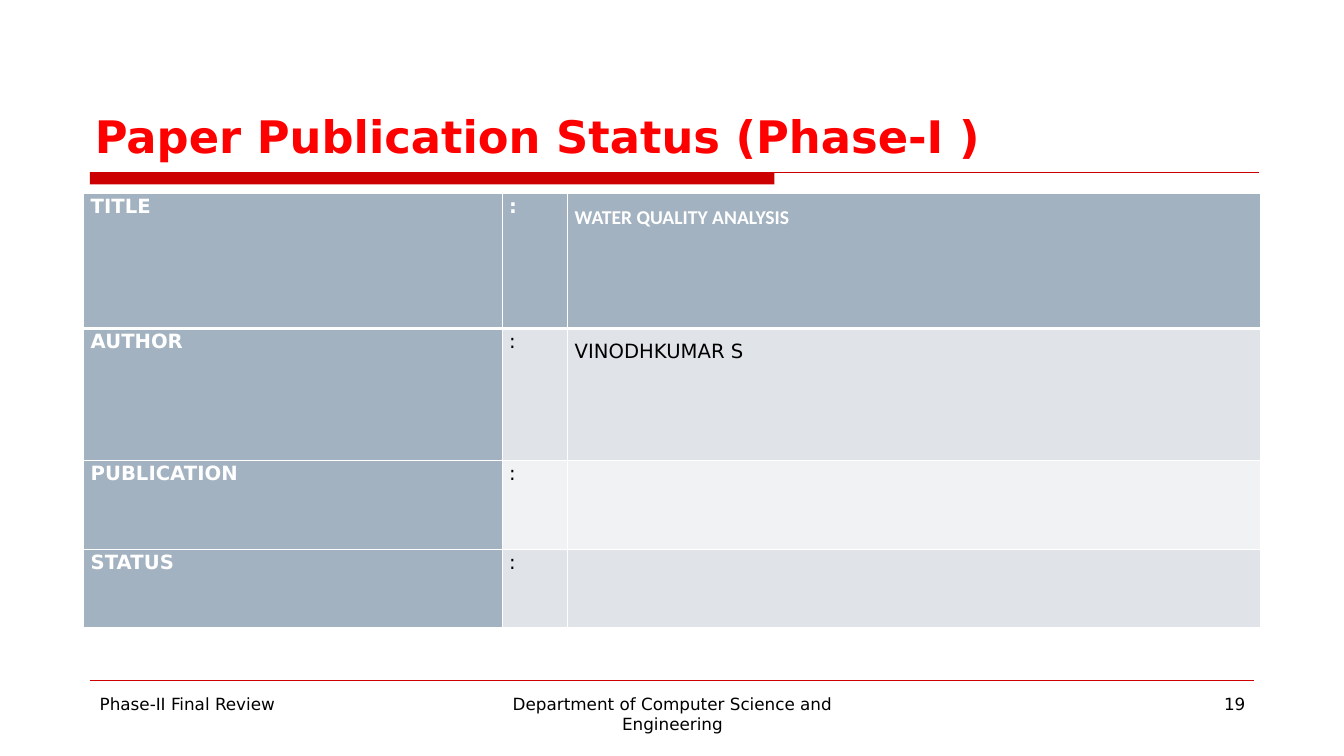
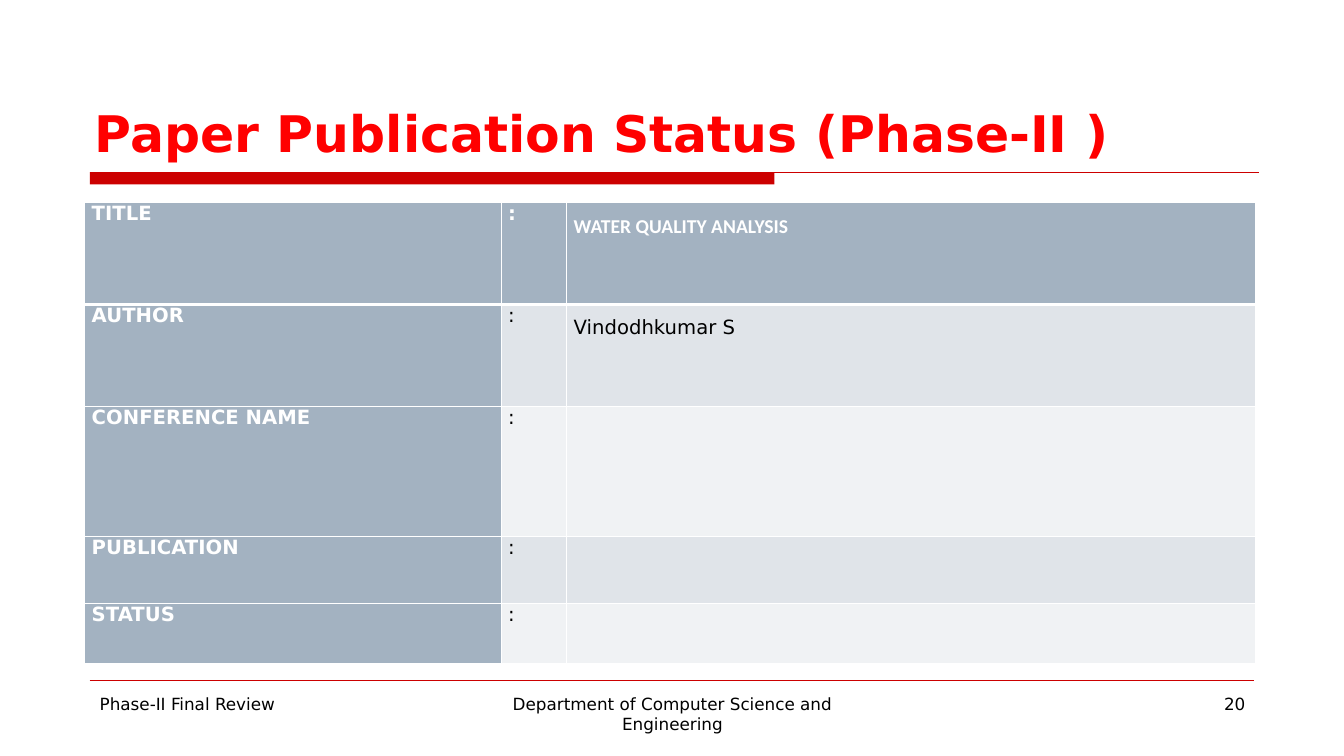
from dataclasses import dataclass
from pptx import Presentation
from pptx.dml.color import RGBColor
from pptx.enum.shapes import MSO_CONNECTOR, MSO_SHAPE
from pptx.enum.text import MSO_ANCHOR, MSO_AUTO_SIZE, PP_ALIGN
from pptx.oxml.ns import qn
from pptx.util import Inches, Pt
from lxml.etree import SubElement, Element


@dataclass(frozen=True)
class Theme:
    red: str = "FF0000"
    rule: str = "CC0000"
    head: str = "A3B2C1"
    bands: tuple = ("F0F2F4", "E0E4E9")
    white: str = "FFFFFF"
    black: str = "000000"
    font: str = "DejaVu Sans"
    alt: str = "Calibri"
    cell: int = 14
    foot: int = 12


THEME = Theme()
SIZE = (13.33, 7.5)

FOOTS = [
    (0.89, 2.89, "Phase-II Final Review", PP_ALIGN.LEFT),
    (4.56, 4.22, "Department of Computer Science and Engineering", PP_ALIGN.CENTER),
]
PAGE = (9.56, 2.89)

SLIDES = [
    dict(
        page=19, title="Paper Publication Status (Phase-I )", size=32, wide=11.85,
        left=0.83, top=1.92, cols=(4.15, 0.65, 6.87), lead=1.07, after=8,
        align=PP_ALIGN.JUSTIFY,
        rows=[
            (1.34, "TITLE", "WATER QUALITY ANALYSIS"),
            (1.31, "AUTHOR", "VINODHKUMAR S"),
            (0.88, "PUBLICATION", ""),
            (0.78, "STATUS", ""),
        ],
    ),
    dict(
        page=20, title="Paper Publication Status (Phase-II )", size=36, wide=11.67,
        left=0.84, top=2.01, cols=(4.13, 0.65, 6.83), lead=1.0, after=0,
        align=PP_ALIGN.LEFT,
        rows=[
            (1.01, "TITLE", "WATER QUALITY ANALYSIS"),
            (1.01, "AUTHOR", "Vindodhkumar S"),
            (1.29, "CONFERENCE NAME", ""),
            (0.67, "PUBLICATION", ""),
            (0.59, "STATUS", ""),
        ],
    ),
]


def color(code):
    return RGBColor.from_string(code)


def write(frame, text, size, tint=THEME.black, bold=False, font=THEME.font,
          align=PP_ALIGN.LEFT, lead=None, after=0):
    frame.word_wrap = True
    para = frame.paragraphs[0]
    para.alignment = align
    para.space_after = Pt(after)
    if lead:
        para.line_spacing = lead
    run = para.add_run()
    run.text = text
    run.font.size = Pt(size)
    run.font.name = font
    run.font.bold = bold
    run.font.color.rgb = color(tint)


def rule(slide, left, right, y, width):
    line = slide.shapes.add_connector(
        MSO_CONNECTOR.STRAIGHT, Inches(left), Inches(y), Inches(right), Inches(y))
    line.line.color.rgb = color(THEME.rule)
    line.line.width = Pt(width)
    SubElement(line._element.spPr, qn("a:effectLst"))


def frame(slide, page):
    bar = slide.shapes.add_shape(
        MSO_SHAPE.RECTANGLE, Inches(0.89), Inches(1.71), Inches(6.79), Inches(0.12))
    bar.shadow.inherit = False
    bar.fill.solid()
    bar.fill.fore_color.rgb = color(THEME.rule)
    bar.line.fill.background()
    rule(slide, 0.89, 12.49, 1.71, 0.75)
    rule(slide, 0.89, 12.44, 6.75, 0.25)
    for left, wide, text, align in FOOTS + [(*PAGE, str(page), PP_ALIGN.RIGHT)]:
        box = slide.shapes.add_textbox(
            Inches(left), Inches(6.83), Inches(wide), Inches(0.52))
        write(box.text_frame, text, THEME.foot, align=align)


def border(cell, row):
    props = cell._tc.get_or_add_tcPr()
    widths = dict(lnL=1, lnR=1, lnT=3 if row == 1 else 1, lnB=3 if row == 0 else 1)
    for i, (side, width) in enumerate(widths.items()):
        line = Element(qn(f"a:{side}"), w=str(Pt(width)))
        fill = SubElement(line, qn("a:solidFill"))
        SubElement(fill, qn("a:srgbClr"), val=THEME.white)
        props.insert(i, line)


def grid(slide, data):
    rows, cols = data["rows"], data["cols"]
    tall = sum(row[0] for row in rows)
    table = slide.shapes.add_table(
        len(rows), len(cols), Inches(data["left"]), Inches(data["top"]),
        Inches(sum(cols)), Inches(tall)).table
    for col, wide in zip(table.columns, cols):
        col.width = Inches(wide)
    for r, (high, label, value) in enumerate(rows):
        table.rows[r].height = Inches(high)
        for c, text in enumerate((label, ":", value)):
            cell = table.cell(r, c)
            head = r == 0 or c == 0
            cell.margin_left = cell.margin_right = Inches(0.07)
            cell.margin_top = cell.margin_bottom = 0
            cell.fill.solid()
            cell.fill.fore_color.rgb = color(THEME.head if head else THEME.bands[r % 2])
            border(cell, r)
            if text:
                top = r == 0 and c == 2
                write(cell.text_frame, text, THEME.cell, bold=head,
                      tint=THEME.white if head else THEME.black,
                      font=THEME.alt if top else THEME.font,
                      align=data["align"] if top else PP_ALIGN.LEFT,
                      lead=1.5 if c == 2 else data["lead"], after=data["after"])


def build(deck, data):
    slide = deck.slides.add_slide(deck.slide_layouts[5])
    title = slide.shapes.title
    title.left, title.top = Inches(0.84), Inches(0.33)
    title.width, title.height = Inches(data["wide"]), Inches(1.33)
    title.text_frame.auto_size = MSO_AUTO_SIZE.NONE
    title.text_frame.vertical_anchor = MSO_ANCHOR.BOTTOM
    write(title.text_frame, data["title"], data["size"], tint=THEME.red, bold=True)
    frame(slide, data["page"])
    grid(slide, data)


def main():
    deck = Presentation()
    deck.slide_width, deck.slide_height = map(Inches, SIZE)
    for data in SLIDES:
        build(deck, data)
    deck.save("out.pptx")


if __name__ == "__main__":
    main()
